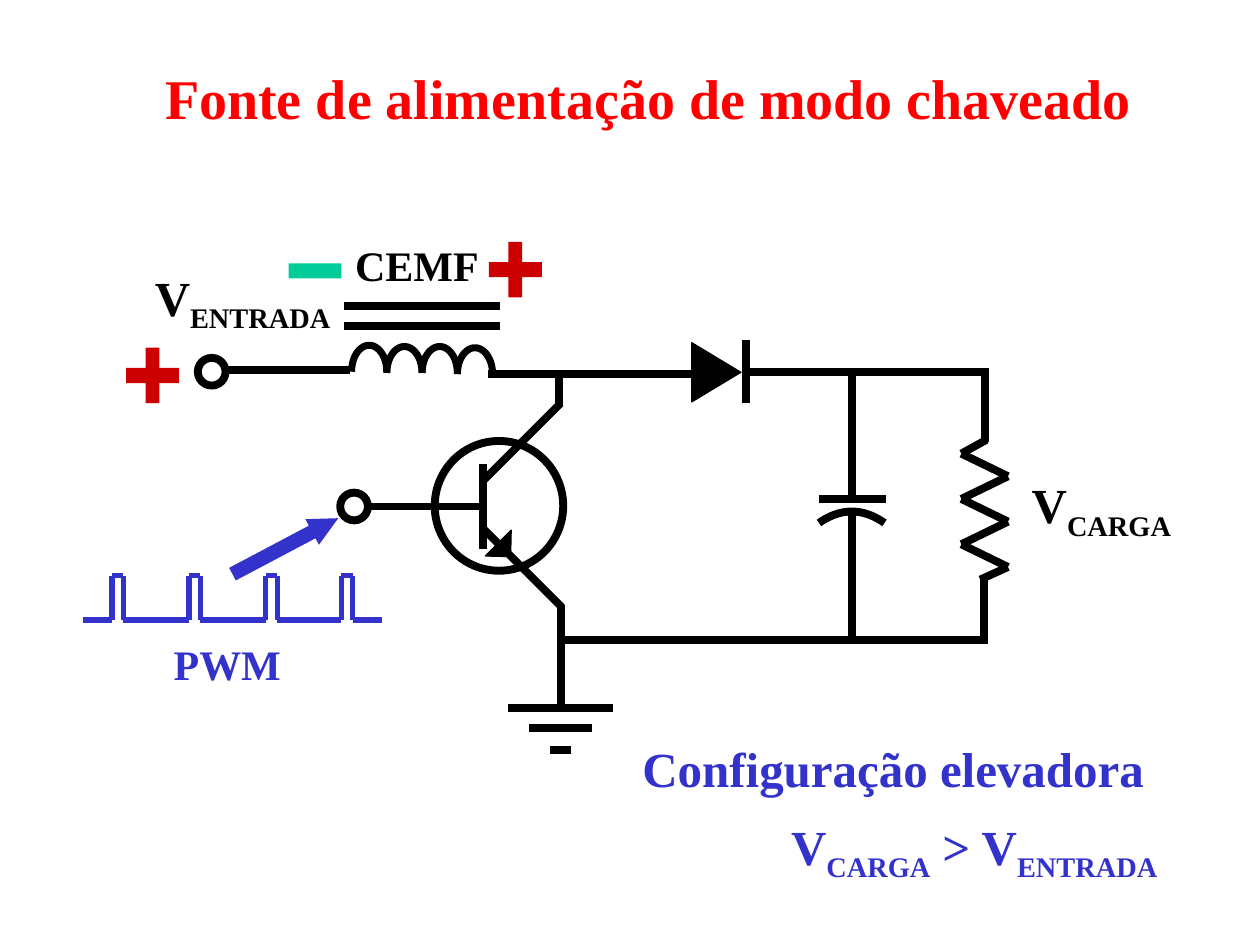
from dataclasses import dataclass
from itertools import pairwise
from math import cos, pi, sin

from lxml.etree import SubElement
from pptx import Presentation
from pptx.dml.color import RGBColor
from pptx.enum.shapes import MSO_CONNECTOR, MSO_SHAPE as Preset
from pptx.enum.text import MSO_ANCHOR, MSO_AUTO_SIZE, PP_ALIGN
from pptx.oxml.ns import qn
from pptx.util import Inches, Pt


@dataclass(frozen=True)
class Theme:
    font: str = "Times New Roman"
    ink: RGBColor = RGBColor(0x00, 0x00, 0x00)
    blue: RGBColor = RGBColor(0x33, 0x33, 0xCC)
    title_red: RGBColor = RGBColor(0xFF, 0x00, 0x00)
    plus_red: RGBColor = RGBColor(0xCC, 0x00, 0x00)
    minus_green: RGBColor = RGBColor(0x00, 0xCC, 0x99)
    title_size: int = 32
    symbol_size: int = 28
    label_size: int = 24
    wire: float = 4.5
    coil: float = 4
    pulse: float = 3
    outline: float = 0.75


THEME = Theme()


# Element kinds
def add_wire(slide, x1, y1, x2, y2, color=THEME.ink, width=THEME.wire):
    wire = slide.shapes.add_connector(
        MSO_CONNECTOR.STRAIGHT, Inches(x1), Inches(y1), Inches(x2), Inches(y2))
    wire.line.color.rgb = color
    wire.line.width = Pt(width)
    SubElement(wire._element.spPr, qn("a:effectLst"))


def add_curve(slide, points, width):
    (x, y), *rest = [(Inches(x), Inches(y)) for x, y in points]
    builder = slide.shapes.build_freeform(x, y)
    builder.add_line_segments(rest, close=False)
    curve = builder.convert_to_shape()
    curve.shadow.inherit = False
    curve.fill.background()
    curve.line.color.rgb = THEME.ink
    curve.line.width = Pt(width)


def add_part(slide, preset, x, y, w, h, fill=None, line_width=None, rotation=0):
    part = slide.shapes.add_shape(preset, Inches(x), Inches(y), Inches(w), Inches(h))
    part.shadow.inherit = False
    part.rotation = rotation
    if fill is None:
        part.fill.background()
    else:
        part.fill.solid()
        part.fill.fore_color.rgb = fill
    if line_width is None:
        part.line.fill.background()
    else:
        part.line.color.rgb = THEME.ink
        part.line.width = Pt(line_width)
    return part


def add_plus(slide, cx, cy):
    for w, h in ((0.42, 0.12), (0.11, 0.44)):
        add_part(slide, Preset.RECTANGLE, cx - w / 2, cy - h / 2, w, h, THEME.plus_red)


def write_runs(frame, runs, size, color):
    """Each run is a (text, is_subscript) pair."""
    frame.word_wrap = True
    for text, is_subscript in runs:
        run = frame.paragraphs[0].add_run()
        run.text = text
        run.font.name = THEME.font
        run.font.size = Pt(size)
        run.font.bold = True
        run.font.color.rgb = color
        if is_subscript:
            run._r.get_or_add_rPr().set("baseline", "-25000")


def add_label(slide, x, y, w, h, runs, size=THEME.symbol_size, color=THEME.ink):
    label = slide.shapes.add_textbox(Inches(x), Inches(y), Inches(w), Inches(h))
    write_runs(label.text_frame, runs, size, color)


def set_title(slide, text):
    title = slide.shapes.title
    title.left, title.top = Inches(1.21), Inches(0.45)
    title.width, title.height = Inches(8), Inches(0.64)
    frame = title.text_frame
    frame.auto_size = MSO_AUTO_SIZE.NONE
    frame.vertical_anchor = MSO_ANCHOR.TOP
    frame.paragraphs[0].alignment = PP_ALIGN.LEFT
    write_runs(frame, [(text, False)], THEME.title_size, THEME.title_red)


# Circuit parts
def draw_inductor(slide):
    pitch, steps = 0.28, 20
    for i, base in enumerate((2.95, 2.96, 2.96, 2.97)):
        center = 2.93 + i * pitch
        angles = [pi * step / steps for step in range(steps + 1)]
        add_curve(slide, [(center - pitch / 2 * cos(a), base - 0.21 * sin(a))
                          for a in angles], THEME.coil)
    for y in (2.43, 2.59):
        add_wire(slide, 2.73, y, 3.97, y)


def draw_transistor(slide):
    add_part(slide, Preset.OVAL, 3.45, 3.5, 1.02, 1.03, line_width=THEME.wire)
    add_wire(slide, 3.83, 3.68, 3.83, 4.36)  # base plate
    add_wire(slide, 2.94, 4.02, 3.82, 4.02)  # base
    add_wire(slide, 3.83, 3.82, 4.45, 3.2)   # collector
    add_wire(slide, 3.84, 4.2, 4.46, 4.82)   # emitter
    add_part(slide, Preset.RIGHT_TRIANGLE, 3.85, 4.21, 0.21, 0.2,
             THEME.ink, THEME.outline, 271.3)


def draw_diode(slide):
    add_part(slide, Preset.ISOSCELES_TRIANGLE, 5.45, 2.76, 0.47, 0.39,
             THEME.ink, THEME.outline, 90)
    add_wire(slide, 5.92, 2.7, 5.92, 3.2)


def draw_capacitor(slide):
    add_wire(slide, 6.5, 3.96, 7.03, 3.96)
    offsets = [i / 10 for i in range(-10, 11)]
    add_curve(slide, [(6.76 + 0.26 * t, 4.06 + 0.09 * t * t) for t in offsets],
              THEME.wire)
    add_wire(slide, 6.76, 2.95, 6.76, 3.95)
    add_wire(slide, 6.76, 4.08, 6.76, 5.08)


def draw_resistor(slide):
    bends = [((7.63, 8.0)[i % 2], 3.6 + 0.18 * i) for i in range(6)]
    for start, end in pairwise([(7.83, 3.49), *bends, (7.78, 4.6)]):
        add_wire(slide, *start, *end)


def draw_ground(slide):
    for y, width in ((5.62, 0.83), (5.78, 0.5), (5.95, 0.17)):
        add_wire(slide, 4.45 - width / 2, y, 4.45 + width / 2, y)


def draw_pulses(slide):
    top, base, width = 4.57, 4.92, 0.09
    rises = [0.89, 1.5, 2.11, 2.71]
    segments = []
    for x in rises:
        segments += [(x, base, x, top), (x, top, x + width, top),
                     (x + width, top, x + width, base)]
    starts = [0.66] + [x + width for x in rises]
    segments += [(x1, base, x2, base) for x1, x2 in zip(starts, rises + [3.03])]
    for segment in segments:
        add_wire(slide, *segment, THEME.blue, THEME.pulse)
    arrow = add_part(slide, Preset.UP_ARROW, 2.15, 3.86, 0.23, 0.95,
                     THEME.blue, rotation=62.1)
    arrow.adjustments[0], arrow.adjustments[1] = 0.49, 1.02


def draw_connections(slide):
    for segment in (
        (1.76, 2.94, 2.78, 2.94),  # input to inductor
        (3.87, 2.97, 5.53, 2.97),  # inductor to diode
        (4.44, 2.97, 4.44, 3.22),  # collector
        (4.45, 4.8, 4.45, 5.6),    # emitter to ground
        (5.94, 2.95, 7.85, 2.95),  # upper rail
        (4.45, 5.08, 7.83, 5.08),  # lower rail
        (7.82, 2.93, 7.82, 3.51),  # load, upper end
        (7.81, 4.59, 7.81, 5.11),  # load, lower end
    ):
        add_wire(slide, *segment)
    for x, y in ((1.57, 2.84), (2.7, 3.91)):  # terminals
        add_part(slide, Preset.OVAL, x, y, 0.22, 0.22, line_width=THEME.wire)


def main():
    deck = Presentation()
    deck.slide_width, deck.slide_height = Inches(10), Inches(7.5)
    slide = deck.slides.add_slide(deck.slide_layouts[5])
    set_title(slide, "Fonte de alimentação de modo chaveado")

    # Circuit
    for draw in (draw_capacitor, draw_inductor, draw_transistor, draw_resistor,
                 draw_ground, draw_diode, draw_pulses, draw_connections):
        draw(slide)

    # Polarity marks
    add_plus(slide, 1.21, 2.98)
    add_plus(slide, 4.09, 2.14)
    add_part(slide, Preset.RECTANGLE, 2.29, 2.09, 0.42, 0.12, THEME.minus_green)

    # Labels
    volts, load, source = ("V", False), ("CARGA", True), ("ENTRADA", True)
    add_label(slide, 1.13, 2.07, 1.65, 0.63, [volts, source])
    add_label(slide, 8.09, 3.72, 1.4, 0.63, [volts, load])
    add_label(slide, 2.72, 1.85, 1.25, 0.5, [("CEMF", False)], THEME.label_size)
    add_label(slide, 1.28, 5.02, 1.1, 0.5, [("PWM", False)],
              THEME.label_size, THEME.blue)
    add_label(slide, 5, 5.81, 4.25, 0.57, [("Configuração elevadora", False)],
              color=THEME.blue)
    add_label(slide, 6.18, 6.43, 3.2, 0.63,
              [volts, load, (" > V", False), source], color=THEME.blue)

    deck.save("out.pptx")


if __name__ == "__main__":
    main()
